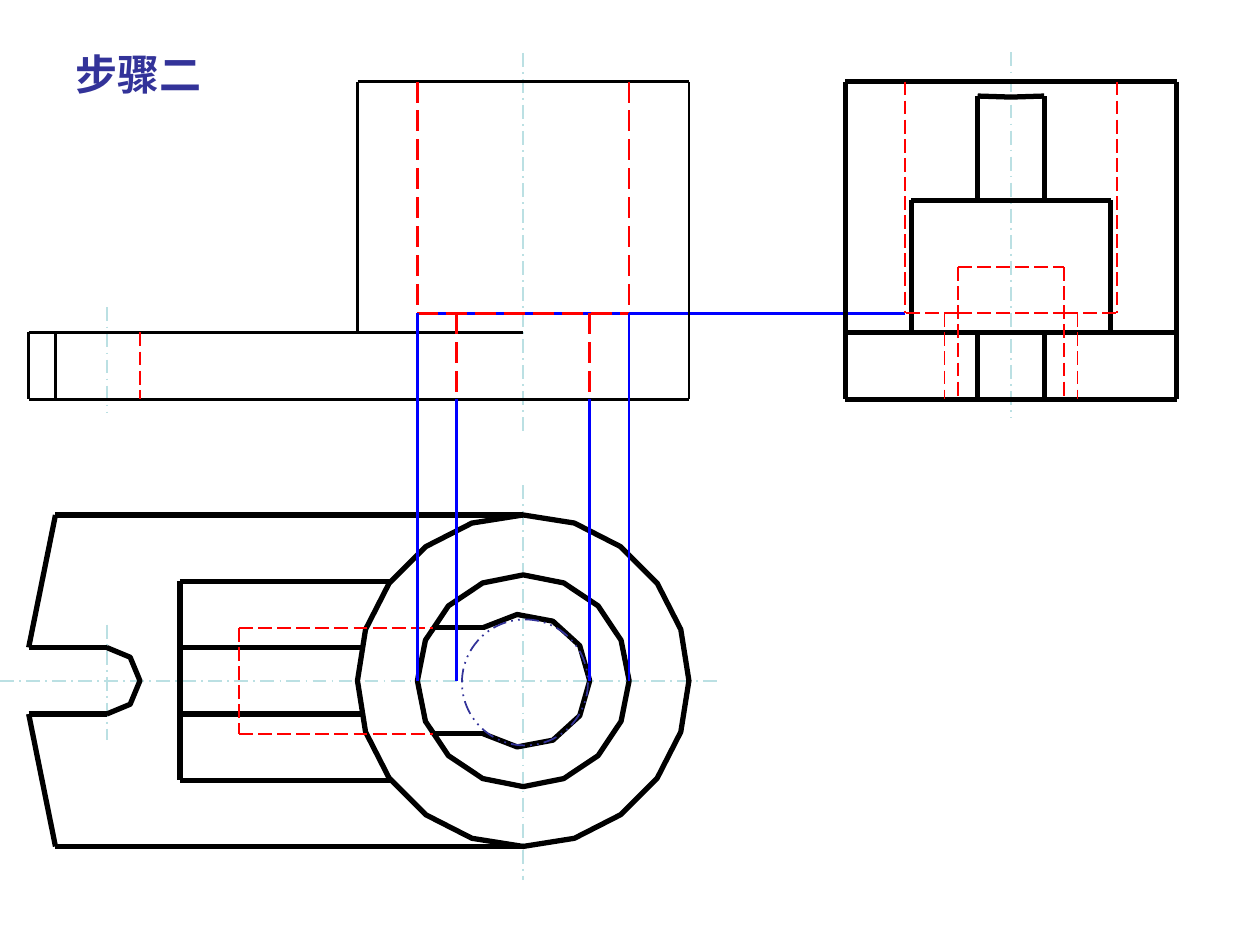
from math import cos, radians, sin

from lxml import etree
from pptx import Presentation
from pptx.dml import color as c
from pptx.enum import dml, shapes, text
from pptx.oxml import ns
from pptx.util import Pt

COLORS = {"axis": "BBE0E3", "edge": "000000", "hidden": "FF0000",
          "projector": "0000FF", "accent": "333399"}
DASH = dml.MSO_LINE
STYLES = {
    "axis": ("axis", {"width": Pt(1), "dash_style": DASH.LONG_DASH_DOT}),
    "edge": ("edge", {"width": Pt(3)}),
    "thin edge": ("edge", {"width": Pt(1.5)}),
    "hidden": ("hidden", {"width": Pt(1), "dash_style": DASH.LONG_DASH}),
    "bold hidden": ("hidden", {"width": Pt(1.5), "dash_style": DASH.LONG_DASH}),
    "projector": ("projector", {"width": Pt(1.5)}),
    "circle": ("accent", {"width": Pt(1), "dash_style": DASH.DASH_DOT_DOT}),
}

prs = Presentation()
prs.slide_width, prs.slide_height = Pt(720), Pt(540)
slide = prs.slides.add_slide(prs.slide_layouts[5])


def set_line(line, style):
    color, values = STYLES[style]
    line.color.rgb = c.RGBColor.from_string(COLORS[color])
    for name, value in values.items():
        setattr(line, name, value)


def draw_arc(x, y, radius, start, step, count):
    angles = [radians(start + step * i) for i in range(count + 1)]
    points = [(Pt(x + radius * cos(a)), Pt(y + radius * sin(a))) for a in angles]
    builder = slide.shapes.build_freeform(*points[0])
    builder.add_line_segments(points[1:], close=abs(step * count) == 360)
    arc = builder.convert_to_shape()
    arc.fill.background()
    arc.shadow.inherit = False
    set_line(arc.line, style="edge")


main_x, main_y, side_x, slot_x = 299, 389, 577.7, 61
outer, bore, boss, hole, groove, rib = 94.7, 60.5, 56.9, 38, 30.3, 19
top, bore_floor, base_top, base_bottom = 46.6, 179, 190, 228.2
boss_top, rib_top, groove_top = 114.4, 54.9, 152.6
tip_x, corner_x, boss_x, groove_x = 16.4, 31.7, 102.8, 136.6
groove_end, hole_start = 247.2, 276.3

axes = [
    (main_x, 277.2, main_x, 502.6), (0, main_y, 412, main_y),
    (side_x, 30, side_x, 238.5), (slot_x, 357, slot_x, 423),
    (slot_x, 175.7, slot_x, 236.2), (main_x, 30.2, main_x, 248.4),
]
level_projector = [(main_x - bore, bore_floor, side_x - bore, bore_floor)]

edges = [(boss_x, y, boss_x, y + h) for y, h in
         ((main_y - boss, boss - rib), (main_y - rib, 2 * rib), (main_y + rib, boss - rib))]
hidden = [(groove_x, main_y - groove, groove_x, main_y + groove)]
for side in (-1, 1):
    edges += [
        (corner_x, main_y + side * outer, main_x, main_y + side * outer),
        (corner_x, main_y + side * outer, tip_x, main_y + side * rib),
        (tip_x, main_y + side * rib, slot_x, main_y + side * rib),
        (boss_x, main_y + side * boss, 223.6, main_y + side * boss),
        (boss_x, main_y + side * rib, 206.6, main_y + side * rib),
        (groove_end, main_y + side * groove, hole_start, main_y + side * groove),
        (side_x + side * outer, top, side_x + side * outer, base_top),
        (side_x + side * outer, base_top, side_x + side * outer, base_bottom),
        (side_x + side * boss, boss_top, side_x + side * boss, base_top),
        (side_x + side * rib, rib_top, side_x + side * rib, boss_top),
        (side_x + side * rib, base_top, side_x + side * rib, base_bottom),
        (side_x + side * rib, boss_top, side_x + side * boss, boss_top),
        (side_x + side * rib, rib_top, side_x, rib_top + 0.6),
    ]
    edges += [(side_x + side * rib, y, side_x + side * outer, y)
              for y in (base_top, base_bottom)]
    hidden += [
        (groove_x, main_y + side * groove, groove_end, main_y + side * groove),
        (side_x + side * groove, groove_top, side_x + side * groove, base_bottom),
        (side_x + side * groove, bore_floor, side_x + side * bore, bore_floor),
        (side_x + side * bore, top, side_x + side * bore, bore_floor),
        (side_x + side * hole, bore_floor, side_x + side * hole, base_bottom),
    ]
edges += [(side_x - rib, y, side_x + rib, y) for y in (boss_top, base_top, base_bottom)]
edges += [(side_x - outer, top, side_x + outer, top)]
hidden += [(side_x - groove, y, side_x + groove, y) for y in (groove_top, bore_floor)]
hidden += [(80, base_top, 80, base_bottom)]

front_edges = [
    (main_x - outer, top, main_x + outer, top),
    (tip_x, base_top, corner_x, base_top), (corner_x, base_top, main_x, base_top),
    (tip_x, base_bottom, corner_x, base_bottom),
    (corner_x, base_bottom, main_x, base_bottom),
    (main_x, base_bottom, main_x + outer, base_bottom),
    (tip_x, base_top, tip_x, base_bottom), (corner_x, base_top, corner_x, base_bottom),
    (main_x + outer, top, main_x + outer, base_bottom),
    (main_x - outer, top, main_x - outer, base_top),
]
front_hidden = [(main_x - bore, bore_floor, main_x + bore, bore_floor)]
projectors = []
for radius, start, end in ((bore, top, bore_floor), (hole, bore_floor, base_bottom)):
    for x in (main_x - radius, main_x + radius):
        front_hidden.append((x, start, x, end))
        projectors.append((x, end, x, main_y))

for style, lines in (("axis", axes), ("projector", level_projector), ("edge", edges),
                     ("thin edge", front_edges), ("hidden", hidden),
                     ("bold hidden", front_hidden), ("projector", projectors)):
    for ends in lines:
        segment = slide.shapes.add_connector(shapes.MSO_CONNECTOR.STRAIGHT, *map(Pt, ends))
        set_line(segment.line, style)
        etree.SubElement(segment._element.spPr, ns.qn("a:effectLst"))
    if style == "edge":
        draw_arc(main_x, main_y, outer, 0, 18, 20)
        draw_arc(main_x, main_y, bore, 0, 22.5, 16)
        draw_arc(main_x, main_y, hole, -127, 31.75, 8)
        draw_arc(slot_x, main_y, rib, -90, 45, 4)

circle = slide.shapes.add_shape(shapes.MSO_SHAPE.OVAL, Pt(264), Pt(354), Pt(72), Pt(72))
circle.fill.background()
circle.shadow.inherit = False
set_line(circle.line, "circle")

step = slide.shapes.title
for name, value in {"left": 36, "top": 24, "width": 162, "height": 36}.items():
    setattr(step, name, Pt(value))
frame = step.text_frame
frame.text = "步骤二"
for name, value in {"vertical_anchor": text.MSO_ANCHOR.TOP, "word_wrap": True,
                    "auto_size": text.MSO_AUTO_SIZE.NONE}.items():
    setattr(frame, name, value)
heading = frame.paragraphs[0]
heading.alignment = text.PP_ALIGN.LEFT
font = heading.runs[0].font
for name, value in {"name": "Times New Roman", "size": Pt(24), "bold": True}.items():
    setattr(font, name, value)
font.color.rgb = c.RGBColor.from_string(COLORS["accent"])

prs.save("out.pptx")
